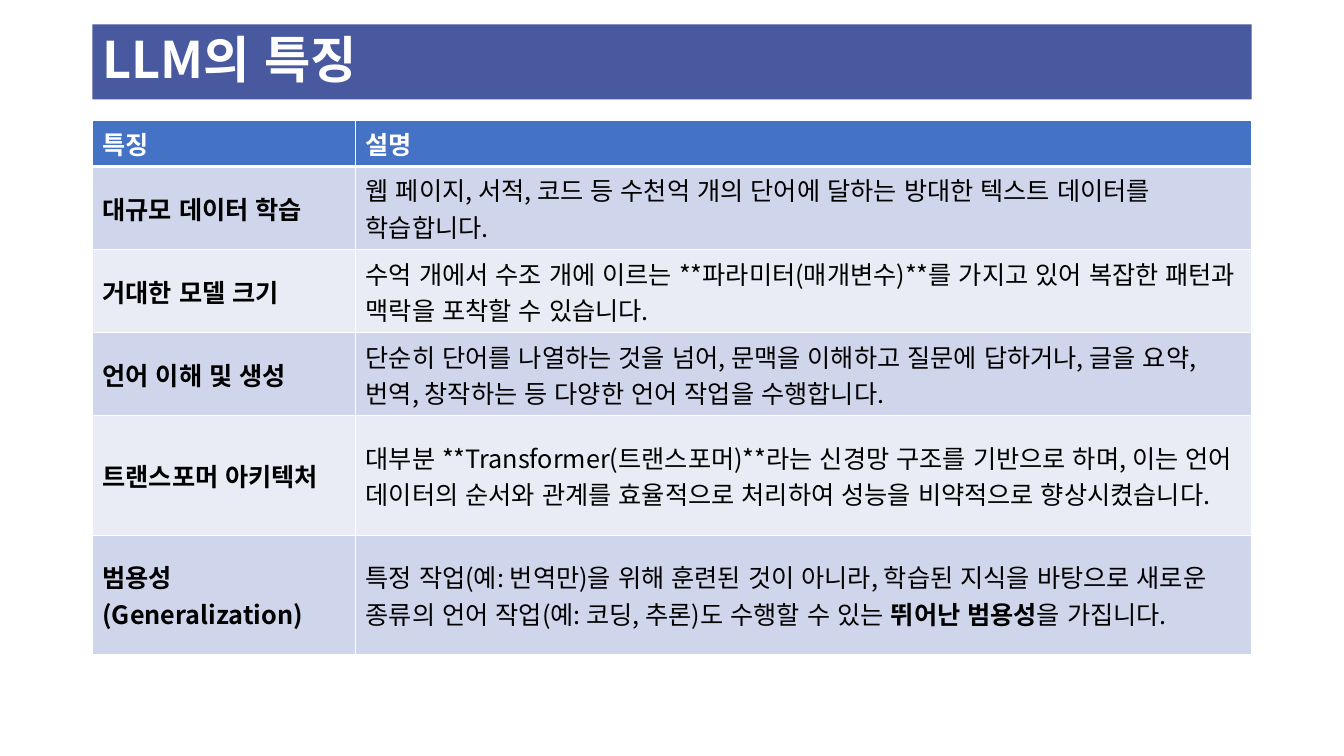
import pptx
import pptx.util
import pptx.dml.color
import pptx.enum.lang
import pptx.enum.text
import pptx.oxml
import pptx.oxml.ns

Pt = pptx.util.Pt
FONT = "Noto Sans CJK KR"
HEADINGS = ("특징", "설명")
FEATURES = [
    ("대규모 데이터 학습", ["웹 페이지, 서적, 코드 등 수천억 개의 단어에 달하는 방대한 텍스트 데이터를 학습합니다."], 59),
    ("거대한 모델 크기", ["수억 개에서 수조 개에 이르는 **파라미터(매개변수)**를 가지고 있어 복잡한 패턴과 맥락을 포착할 수 있습니다."], 59),
    ("언어 이해 및 생성", ["단순히 단어를 나열하는 것을 넘어, 문맥을 이해하고 질문에 답하거나, 글을 요약, 번역, 창작하는 등 다양한 언어 작업을 수행합니다."], 59),
    ("트랜스포머 아키텍처", ["대부분 **Transformer(트랜스포머)**라는 신경망 구조를 기반으로 하며, 이는 언어 데이터의 순서와 관계를 효율적으로 처리하여 성능을 비약적으로 향상시켰습니다."], 85),
    ("범용성 (Generalization)", ["특정 작업(예: 번역만)을 위해 훈련된 것이 아니라, 학습된 지식을 바탕으로 새로운 종류의 언어 작업(예: 코딩, 추론)도 수행할 수 있는 ", "뛰어난 범용성", "을 가집니다."], 85),
]


def color(hex_value):
    return pptx.dml.color.RGBColor.from_string(hex_value)


def fill_solid(part, hex_value):
    part.fill.solid()
    part.fill.fore_color.rgb = color(hex_value)


def format_run(run, size, hex_value, bold):
    run.font.size = Pt(size)
    run.font.bold = bold
    run.font.name = FONT
    run.font.color.rgb = color(hex_value)
    run.font.language_id = pptx.enum.lang.MSO_LANGUAGE_ID.KOREAN
    east_asian = pptx.oxml.parse_xml(f'<a:ea {pptx.oxml.ns.nsdecls("a")} typeface="{FONT}"/>')
    run.font._element.find(pptx.oxml.ns.qn("a:latin")).addnext(east_asian)


def add_borders(cell, bottom_width):
    properties = cell._tc.get_or_add_tcPr()
    widths = {"lnL": 1, "lnR": 1, "lnT": 1, "lnB": bottom_width}
    for position, (side, width) in enumerate(widths.items()):
        border = pptx.oxml.parse_xml(
            f'<a:{side} {pptx.oxml.ns.nsdecls("a")} w="{Pt(width)}">'
            f'<a:solidFill><a:srgbClr val="FFFFFF"/></a:solidFill></a:{side}>')
        properties.insert(position, border)


def write_cell(cell, pieces, background, text_color, bold_flags, bottom_width=1):
    paragraph = cell.text_frame.paragraphs[0]
    for piece, bold in zip(pieces, bold_flags):
        run = paragraph.add_run()
        run.text = piece
        format_run(run, 18, text_color, bold)
    cell.vertical_anchor = pptx.enum.text.MSO_ANCHOR.MIDDLE
    fill_solid(cell, background)
    add_borders(cell, bottom_width)


def place_title(slide, left, top, width, height):
    title = slide.shapes.title
    title.left, title.top, title.width, title.height = map(Pt, (left, top, width, height))
    fill_solid(title, "48599F")
    frame = title.text_frame
    frame.text = "LLM의 특징"
    frame.word_wrap = True
    frame.auto_size = pptx.enum.text.MSO_AUTO_SIZE.NONE
    frame.vertical_anchor = pptx.enum.text.MSO_ANCHOR.MIDDLE
    heading = frame.paragraphs[0]
    heading.alignment = pptx.enum.text.PP_ALIGN.LEFT
    heading.line_spacing = 0.9
    format_run(heading.runs[0], 36, "FFFFFF", True)


def place_features(slide, left, top, width, feature_width):
    heights = [32.5] + [height for _, _, height in FEATURES]
    table = slide.shapes.add_table(
        len(heights), 2, Pt(left), Pt(top), Pt(width), Pt(sum(heights))).table
    table.columns[0].width = Pt(feature_width)
    table.columns[1].width = Pt(width - feature_width)
    for row, height in zip(table.rows, heights):
        row.height = Pt(height)
    for column, heading in enumerate(HEADINGS):
        write_cell(table.cell(0, column), [heading], "4472C4", "FFFFFF", [True], 3)
    for row, (feature, description, _) in enumerate(FEATURES, start=1):
        band = "CFD5EA" if row % 2 else "E9EBF5"
        write_cell(table.cell(row, 0), [feature], band, "000000", [True])
        write_cell(table.cell(row, 1), description, band, "000000", [False, True, False])


def main():
    presentation = pptx.Presentation()
    presentation.slide_width, presentation.slide_height = Pt(960), Pt(540)
    slide = presentation.slides.add_slide(presentation.slide_layouts[5])
    left, width = 66, 828
    place_title(slide, left, 17.5, width, 53.5)
    place_features(slide, left, 85.75, width, 188)
    presentation.save("out.pptx")


if __name__ == "__main__":
    main()
